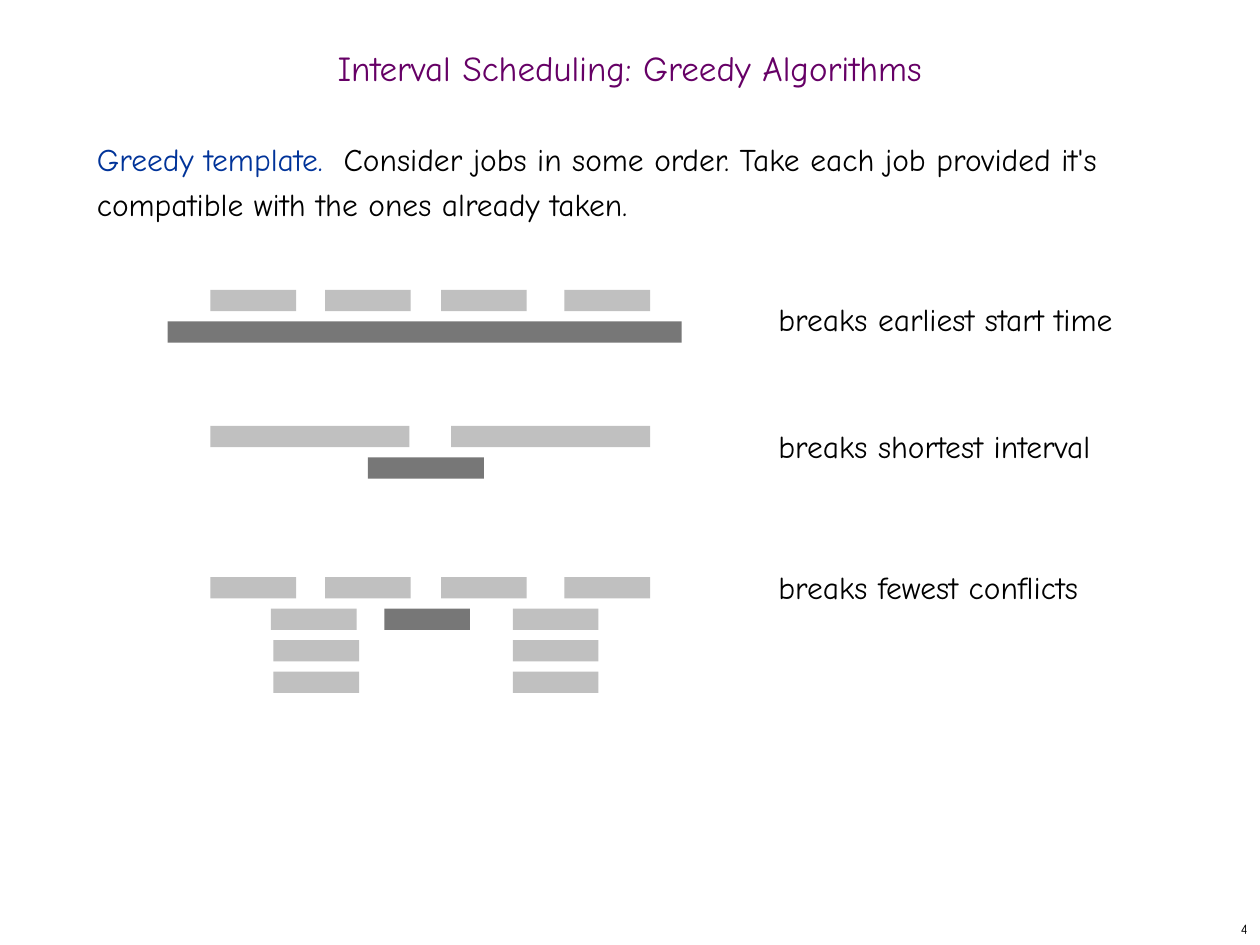
from dataclasses import dataclass

from pptx import Presentation
from pptx.dml.color import RGBColor
from pptx.enum.shapes import MSO_SHAPE
from pptx.enum.text import MSO_ANCHOR as Anchor, MSO_AUTO_SIZE as AutoSize, PP_ALIGN as Align
from pptx.util import Inches, Pt

FONT = "Comic Neue"
COLORS = {
    "title": "660066",
    "term": "003399",
    "text": "000000",
    "job": "C0C0C0",
    "highlight": "777777",
}
BAR_HEIGHT = 0.17
ROW_STEP = 0.25
SHORT = 0.68
LABEL_LEFT = 6.08
FOUR_JOBS = (1.67, 2.58, 3.5, 4.48)


@dataclass
class Job:
    """One interval bar; row counts downwards from the top of its example."""
    left: float
    row: int = 0
    width: float = SHORT
    color: str = "job"


@dataclass
class Example:
    """A counterexample: its jobs and the rule they break."""
    top: float
    label: str
    label_top: float
    label_width: float
    jobs: list[Job]


EXAMPLES = [
    Example(2.3, "breaks earliest start time", 2.33, 3.27,
            [Job(left) for left in FOUR_JOBS] + [Job(1.33, 1, 4.08, "highlight")]),
    Example(3.38, "breaks shortest interval", 3.34, 3.07,
            [Job(left, 0, 1.58) for left in (1.67, 3.58)]
            + [Job(2.92, 1, 0.92, "highlight")]),
    Example(4.58, "breaks fewest conflicts", 4.46, 3,
            [Job(left) for left in FOUR_JOBS]
            + [Job(left, row) for row, left in enumerate((2.15, 2.17, 2.17), 1)]
            + [Job(4.07, row) for row in (1, 2, 3)]
            + [Job(3.05, 1, SHORT, "highlight")]),
]


def format_run(run, size: float, color: str) -> None:
    """Set the font, size and colour of a run."""
    run.font.name = FONT
    run.font.size = Pt(size)
    run.font.color.rgb = RGBColor.from_string(COLORS[color])


def add_text(slide, left: float, top: float, width: float, height: float,
             text: str, size: float = 18, color: str = "text"):
    """Add a wrapping one-paragraph text box and return it."""
    shape = slide.shapes.add_textbox(Inches(left), Inches(top), Inches(width), Inches(height))
    shape.text_frame.word_wrap = True
    shape.text_frame.text = text
    format_run(shape.text_frame.paragraphs[0].runs[0], size, color)
    return shape


def add_title(slide, text: str) -> None:
    """Place and format the title placeholder."""
    title = slide.shapes.title
    title.left, title.top = Inches(0), Inches(0.33)
    title.width, title.height = Inches(10), Inches(0.5)
    frame = title.text_frame
    frame.text = text
    frame.auto_size = AutoSize.NONE
    frame.vertical_anchor = Anchor.MIDDLE
    paragraph = frame.paragraphs[0]
    paragraph.alignment = Align.CENTER
    paragraph.line_spacing = 0.7
    format_run(paragraph.runs[0], 20, "title")


def add_template(slide) -> None:
    """Add the description of the greedy template."""
    shape = add_text(slide, 0.67, 1, 8.58, 5.92, "Greedy template.  ", color="term")
    paragraph = shape.text_frame.paragraphs[0]
    paragraph.line_spacing = Pt(26)
    paragraph.space_before = Pt(12)
    run = paragraph.add_run()
    run.text = ("Consider jobs in some order. Take each job provided it's "
                "compatible with the ones already taken.")
    format_run(run, 18, "text")


def add_page_number(slide, number: int) -> None:
    """Add the page number in the bottom right corner."""
    shape = add_text(slide, 7.92, 7.25, 2.08, 0.25, str(number), 8)
    shape.text_frame.vertical_anchor = Anchor.MIDDLE
    shape.text_frame.paragraphs[0].alignment = Align.RIGHT


def add_example(slide, example: Example) -> None:
    """Draw the bars of a counterexample and its label."""
    for job in example.jobs:
        bar = slide.shapes.add_shape(
            MSO_SHAPE.RECTANGLE, Inches(job.left), Inches(example.top + job.row * ROW_STEP),
            Inches(job.width), Inches(BAR_HEIGHT))
        bar.shadow.inherit = False
        bar.fill.solid()
        bar.fill.fore_color.rgb = RGBColor.from_string(COLORS[job.color])
        bar.line.fill.background()
    add_text(slide, LABEL_LEFT, example.label_top, example.label_width, 0.4, example.label)


def main() -> None:
    """Build and save the slide."""
    presentation = Presentation()
    presentation.slide_width, presentation.slide_height = Inches(10), Inches(7.5)
    slide = presentation.slides.add_slide(presentation.slide_layouts[5])
    add_title(slide, "Interval Scheduling: Greedy Algorithms")
    add_template(slide)
    add_page_number(slide, 4)
    for example in EXAMPLES:
        add_example(slide, example)
    presentation.save("out.pptx")


main()
